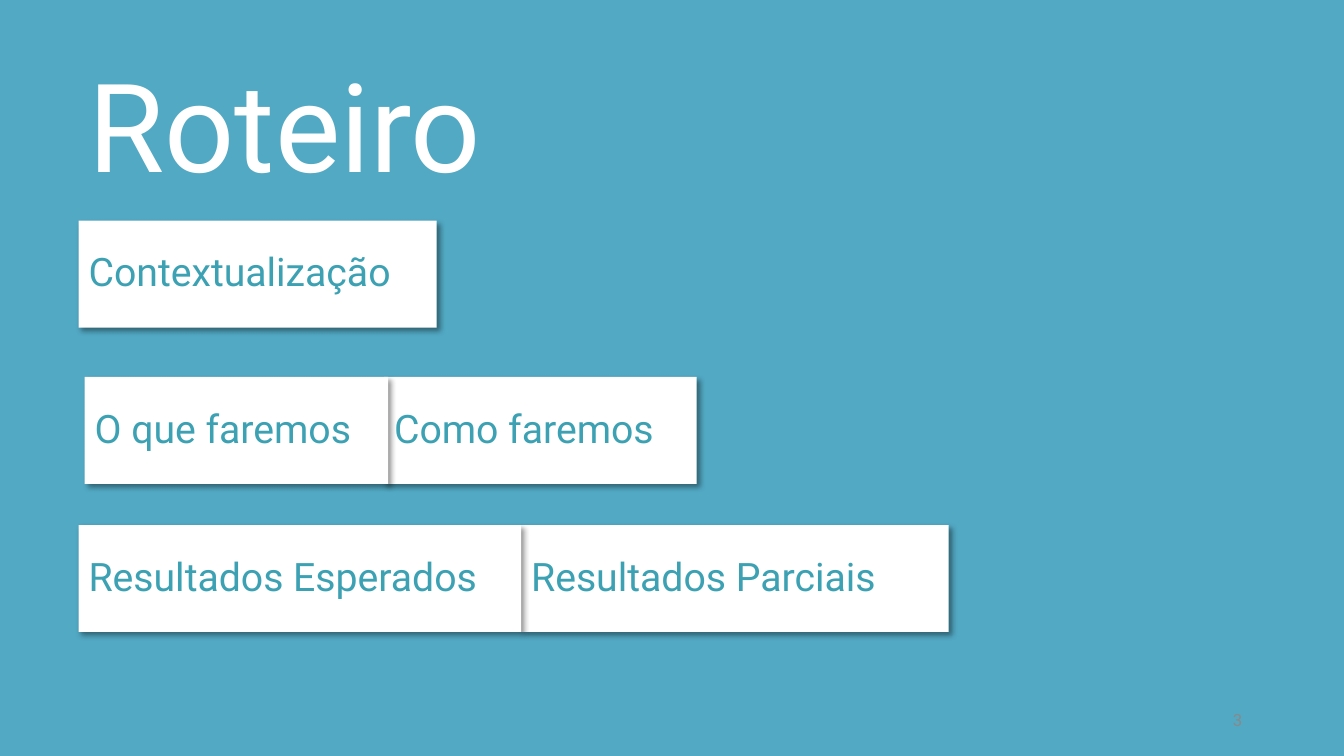
from lxml.etree import SubElement
from pptx import Presentation
from pptx.dml.color import RGBColor
from pptx.enum.shapes import MSO_SHAPE
from pptx.enum.text import MSO_ANCHOR, MSO_AUTO_SIZE, PP_ALIGN
from pptx.oxml.ns import qn
from pptx.util import Inches, Pt

# Content: each row has a top and its cards as (text, left, width)
TITLE = "Roteiro"
PAGE_NUMBER = "3"
AGENDA_ROWS = [
    (2.19, [("Contextualização", 0.78, 3.55)]),
    (3.74, [("O que faremos", 0.84, 3.01), ("Como faremos", 3.81, 3.1)]),
    (5.21, [("Resultados Esperados", 0.78, 4.39), ("Resultados Parciais", 5.17, 4.24)]),
]
CARD_HEIGHT = 1.06


class Theme:
    font = "Roboto"
    background = RGBColor(0x52, 0xA9, 0xC4)
    white = RGBColor(0xFF, 0xFF, 0xFF)
    card_text = RGBColor(0x3C, 0xA1, 0xB3)
    page_number = RGBColor(0x89, 0x89, 0x89)
    title_size, card_size, page_number_size = 88, 28, 12


def write_text(shape, text, size, color, anchor, alignment=PP_ALIGN.LEFT):
    frame = shape.text_frame
    frame.text = text
    frame.word_wrap = True
    frame.auto_size = MSO_AUTO_SIZE.NONE
    frame.vertical_anchor = anchor
    paragraph = frame.paragraphs[0]
    paragraph.alignment = alignment
    paragraph.line_spacing = 0.9
    font = paragraph.runs[0].font
    font.name, font.size = Theme.font, Pt(size)
    font.color.rgb = color


def add_shadow(shape):
    shape.shadow.inherit = False
    effects = shape.element.spPr.find(qn("a:effectLst"))
    shadow = SubElement(effects, qn("a:outerShdw"), blurRad=str(Pt(4)),
                        dist=str(Pt(3)), dir=str(45 * 60000),
                        algn="tl", rotWithShape="0")
    color = SubElement(shadow, qn("a:srgbClr"), val="000000")
    SubElement(color, qn("a:alpha"), val="40000")


def add_card(slide, text, left, top, width):
    card = slide.shapes.add_shape(MSO_SHAPE.RECTANGLE, Inches(left), Inches(top),
                                  Inches(width), Inches(CARD_HEIGHT))
    card.fill.solid()
    card.fill.fore_color.rgb = Theme.white
    card.line.fill.background()
    add_shadow(card)
    write_text(card, text, Theme.card_size, Theme.card_text, MSO_ANCHOR.MIDDLE)


# Slide and background
presentation = Presentation()
presentation.slide_width, presentation.slide_height = Inches(13.33), Inches(7.5)
slide = presentation.slides.add_slide(presentation.slide_layouts.get_by_name("Title Only"))
slide.background.fill.solid()
slide.background.fill.fore_color.rgb = Theme.background

# Title
title = slide.shapes.title
title.left, title.top = Inches(0.78), Inches(0.61)
title.width, title.height = Inches(5.27), Inches(6.28)
write_text(title, TITLE, Theme.title_size, Theme.white, MSO_ANCHOR.TOP)

# Agenda cards, right to left so that each left card overlaps its neighbour
for top, cards in AGENDA_ROWS:
    for text, left, width in reversed(cards):
        add_card(slide, text, left, top, width)

# Page number
number_box = slide.shapes.add_textbox(Inches(9.42), Inches(6.95), Inches(3), Inches(0.4))
write_text(number_box, PAGE_NUMBER, Theme.page_number_size, Theme.page_number,
           MSO_ANCHOR.MIDDLE, PP_ALIGN.RIGHT)

presentation.save("out.pptx")
